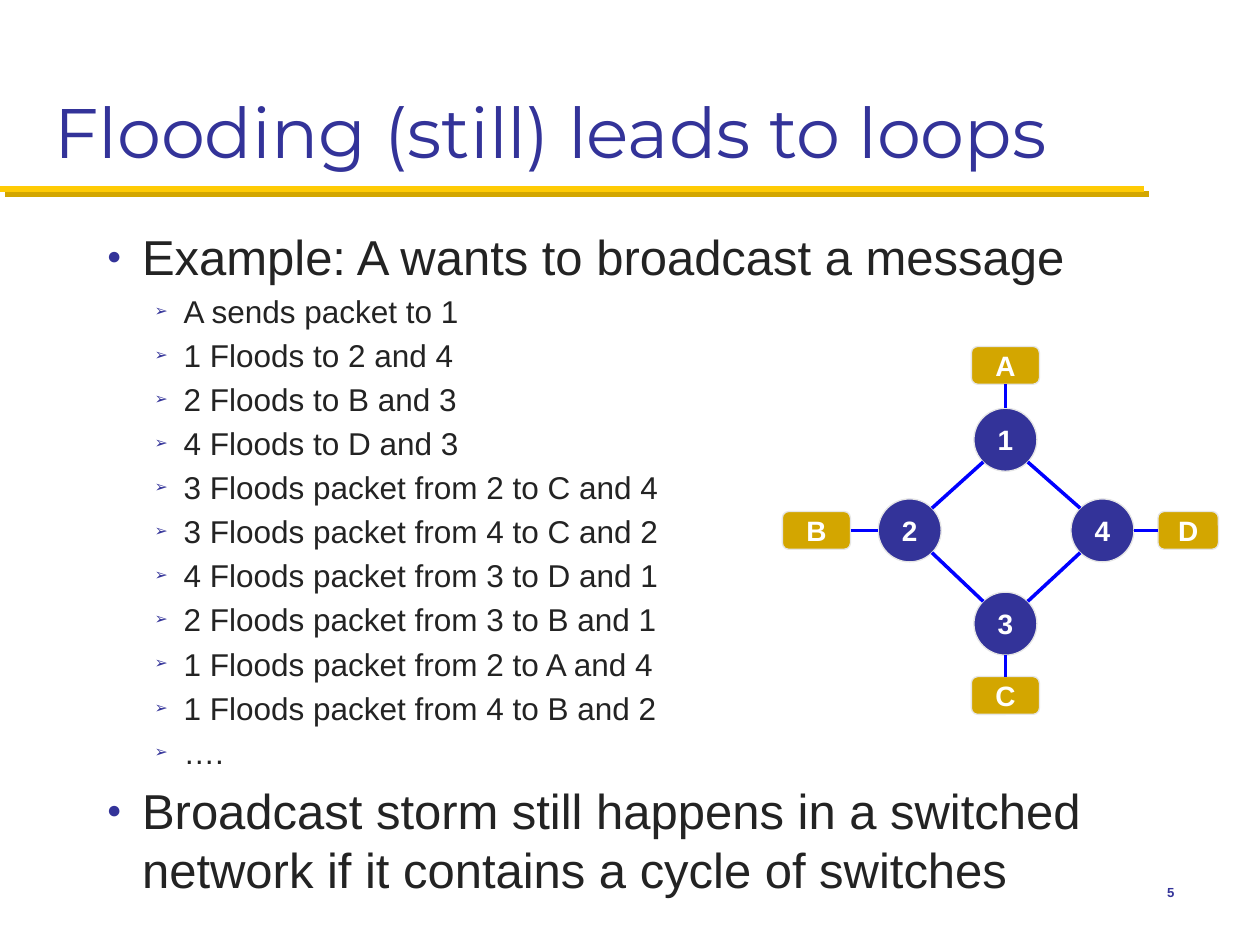
from dataclasses import dataclass
from math import cos, pi

from lxml import etree
from pptx import Presentation
from pptx.dml.color import RGBColor
from pptx.enum.shapes import MSO_CONNECTOR, MSO_SHAPE
from pptx.enum.text import MSO_ANCHOR, MSO_AUTO_SIZE, PP_ALIGN
from pptx.oxml.ns import qn
from pptx.util import Emu, Pt

PX = 9144
TITLE_ONLY = 5
STRAIGHT = MSO_CONNECTOR.STRAIGHT
OVAL, ROUNDED = MSO_SHAPE.OVAL, MSO_SHAPE.ROUNDED_RECTANGLE
TOP, MIDDLE, BOTTOM = MSO_ANCHOR.TOP, MSO_ANCHOR.MIDDLE, MSO_ANCHOR.BOTTOM
LEFT, CENTER, RIGHT = PP_ALIGN.LEFT, PP_ALIGN.CENTER, PP_ALIGN.RIGHT
NO_AUTOFIT = MSO_AUTO_SIZE.NONE


@dataclass(frozen=True)
class Theme:
    title_font: str = "Montserrat"
    body_font: str = "Arial"
    navy: str = "333399"
    ink: str = "232323"
    gold: str = "D3A600"
    yellow: str = "FFCB05"
    outline: str = "E6E6E6"
    link: str = "0000FF"
    white: str = "FFFFFF"
    title_size: float = 40
    point_size: float = 28
    step_size: float = 18
    node_size: float = 16
    number_size: float = 7.5


THEME = Theme()

STEPS = [
    "A sends packet to 1",
    "1 Floods to 2 and 4",
    "2 Floods to B and 3",
    "4 Floods to D and 3",
    "3 Floods packet from 2 to C and 4",
    "3 Floods packet from 4 to C and 2",
    "4 Floods packet from 3 to D and 1",
    "2 Floods packet from 3 to B and 1",
    "1 Floods packet from 2 to A and 4",
    "1 Floods packet from 4 to B and 2",
    "….",
]
POINTS = [
    ("Example: A wants to broadcast a message", STEPS),
    ("Broadcast storm still happens in a switched network "
     "if it contains a cycle of switches", []),
]
SWITCHES = {"1": (177, 74), "2": (101, 146), "4": (254, 146), "3": (177, 220)}
HOSTS = {"B": (27, 146, 54), "A": (177, 15, 54),
         "C": (177, 277, 54), "D": (322, 146, 48)}
LINKS = ["12", "23", "34", "41", "A1", "D4", "C3", "B2"]


def px(value):
    return Emu(round(value * PX))


def rgb(color):
    return RGBColor.from_string(color)


def style(para, size, color, font=THEME.body_font, bold=False):
    para.font.name = font
    para.font.size = Pt(size)
    para.font.bold = bold
    para.font.color.rgb = rgb(color)


def set_frame(frame, anchor):
    frame.word_wrap = True
    frame.auto_size = NO_AUTOFIT
    frame.vertical_anchor = anchor


def add_line(shapes, start, end, color, width):
    line = shapes.add_connector(STRAIGHT, *map(px, (*start, *end)))
    line.line.color.rgb = rgb(color)
    line.line.width = Pt(width)
    return etree.SubElement(line._element.spPr, qn("a:effectLst"))


def add_title(page, box, text):
    title = page.shapes.title
    title.left, title.top, title.width, title.height = map(px, box)
    set_frame(title.text_frame, BOTTOM)
    title.text_frame.text = text
    para = title.text_frame.paragraphs[0]
    para.alignment = LEFT
    style(para, THEME.title_size, THEME.navy, THEME.title_font)


def add_rule(page, box):
    left, top, width, _ = box
    effects = add_line(page.shapes, (left, top), (left + width, top),
                       THEME.yellow, 3.5)
    shadow = etree.SubElement(effects, qn("a:outerShdw"), dist=str(Pt(4.2)),
                              dir="2700000", algn="ctr", rotWithShape="0")
    etree.SubElement(shadow, qn("a:srgbClr"), val=THEME.gold)


def add_bullet(para, symbol, margin, hanging):
    props = para._p.get_or_add_pPr()
    props.set("marL", str(px(margin)))
    props.set("indent", str(-px(hanging)))
    color = etree.SubElement(props, qn("a:buClr"))
    etree.SubElement(color, qn("a:srgbClr"), val=THEME.navy)
    etree.SubElement(props, qn("a:buSzPct"), val="50000")
    etree.SubElement(props, qn("a:buFont"), typeface=THEME.body_font)
    etree.SubElement(props, qn("a:buChar"), char=symbol)


def add_points(page, box, points):
    frame = page.shapes.add_textbox(*map(px, box)).text_frame
    set_frame(frame, TOP)
    entries = []
    for point, steps in points:
        entries.append((point, 0))
        entries += [(step, 1) for step in steps]
    levels = [("●", 28, 28, THEME.point_size), ("➢", 61, 23, THEME.step_size)]
    for index, (text, level) in enumerate(entries):
        symbol, margin, hanging, size = levels[level]
        para = frame.add_paragraph() if index else frame.paragraphs[0]
        para.text = text
        para.level = level
        add_bullet(para, symbol, margin, hanging)
        para.space_before = Pt(size * 0.2 if index else 0)
        style(para, size, THEME.ink)


def add_node(shapes, kind, box, label, fill):
    node = shapes.add_shape(kind, *map(px, box))
    node.shadow.inherit = False
    node.fill.solid()
    node.fill.fore_color.rgb = rgb(fill)
    node.line.color.rgb = rgb(THEME.outline)
    node.line.width = Pt(0.75)
    frame = node.text_frame
    frame.margin_left = frame.margin_right = 0
    frame.margin_top = frame.margin_bottom = 0
    set_frame(frame, MIDDLE)
    para = frame.paragraphs[0]
    para.text = label
    para.alignment = CENTER
    style(para, THEME.node_size, THEME.white, bold=True)


def rim_point(node, other):
    x, y, width, height = node
    across = (other[0] > x) - (other[0] < x)
    down = (other[1] > y) - (other[1] < y)
    reach = cos(pi / 4) if across and down else 1
    return x + across * reach * width / 2, y + down * reach * height / 2


def add_network(page, box):
    left, top = box[:2]
    shapes = page.shapes.add_group_shape().shapes
    nodes = {name: (left + x, top + y, 50, 50)
             for name, (x, y) in SWITCHES.items()}
    nodes |= {name: (left + x, top + y, width, 30)
              for name, (x, y, width) in HOSTS.items()}
    for name, (x, y, width, height) in nodes.items():
        kind, fill = ((OVAL, THEME.navy) if name in SWITCHES
                      else (ROUNDED, THEME.gold))
        node_box = (x - width / 2, y - height / 2, width, height)
        add_node(shapes, kind, node_box, name, fill)
    for first, second in LINKS:
        start = rim_point(nodes[first], nodes[second])
        end = rim_point(nodes[second], nodes[first])
        add_line(shapes, start, end, THEME.link, 2)


def add_page_number(page, box, number):
    frame = page.shapes.add_textbox(*map(px, box)).text_frame
    set_frame(frame, MIDDLE)
    para = frame.paragraphs[0]
    para.text = number
    para.alignment = RIGHT
    style(para, THEME.number_size, THEME.navy, bold=True)


def main():
    deck = Presentation()
    deck.slide_width, deck.slide_height = px(1000), px(750)
    page = deck.slides.add_slide(deck.slide_layouts[TITLE_ONLY])
    add_rule(page, (0, 150, 908, 0))
    add_title(page, (33, 17, 933, 125), "Flooding (still) leads to loops")
    add_points(page, (75, 175, 867, 483), POINTS)
    add_network(page, (621, 275, 346, 292))
    add_page_number(page, (875, 683, 67, 50), "5")
    deck.save("out.pptx")


if __name__ == "__main__":
    main()
